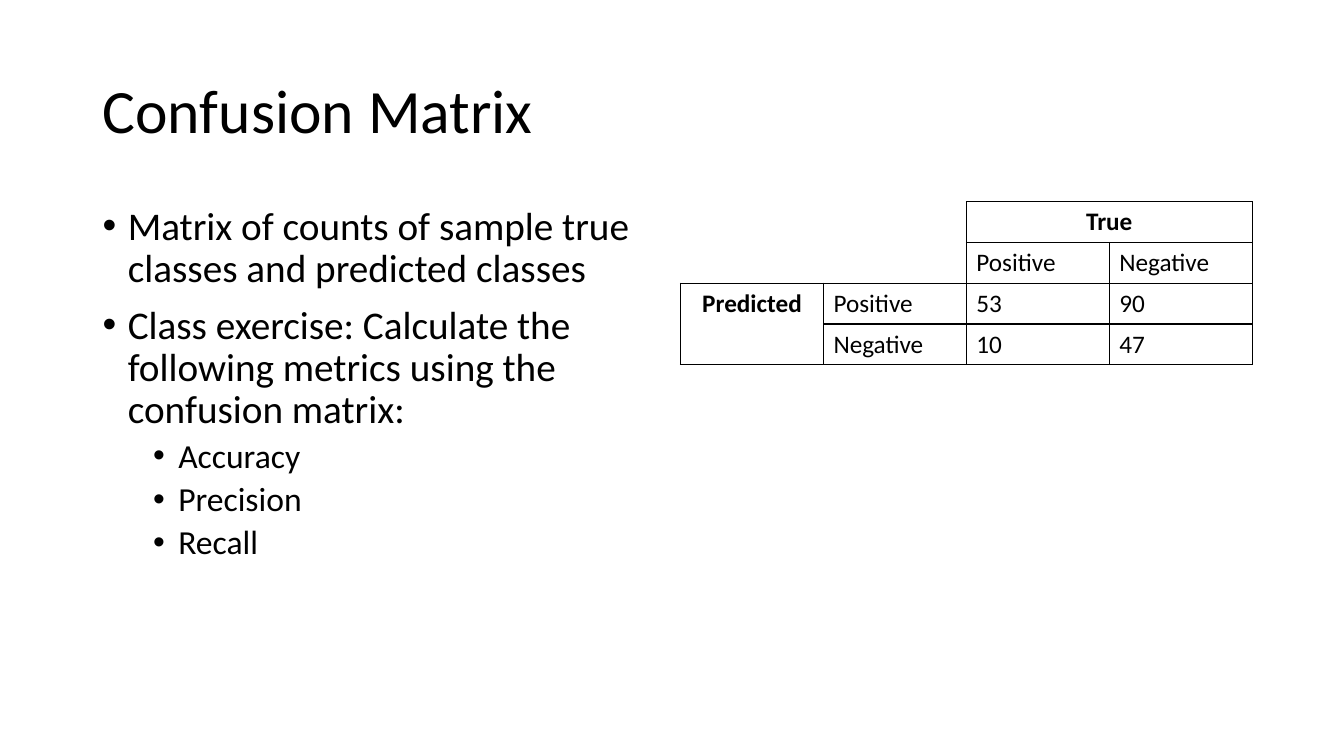
import lxml.etree
import pptx
import pptx.dml.color
import pptx.enum.text
import pptx.oxml.ns
import pptx.util

Inches = pptx.util.Inches
Points = pptx.util.Pt
qualified = pptx.oxml.ns.qn
Align = pptx.enum.text.PP_ALIGN
Anchor = pptx.enum.text.MSO_ANCHOR
BLACK = pptx.dml.color.RGBColor(0x00, 0x00, 0x00)
WHITE = pptx.dml.color.RGBColor(0xFF, 0xFF, 0xFF)
PLAIN_TABLE_STYLE = "{2D5ABB26-0587-4C30-8999-92F81FD0307C}"


def write(para, text, font="Calibri", size=18, color=BLACK, bold=False,
          align=Align.LEFT, line=None, before=0):
    """Add one formatted span of text to a paragraph."""
    span = para.add_run()
    span.text = text
    span.font.name = font
    span.font.size = Points(size)
    span.font.color.rgb = color
    span.font.bold = bold
    para.alignment = align
    para.line_spacing = line
    para.space_before = Points(before)


class Page:
    """One slide with its text and table style."""

    def __init__(self, deck):
        self.slide = deck.slides.add_slide(deck.slide_layouts[6])
        self.slide.background.fill.solid()
        self.slide.background.fill.fore_color.rgb = WHITE

    def text_box(self, left, top, width, height, anchor=Anchor.TOP):
        box = self.slide.shapes.add_textbox(
            Inches(left), Inches(top), Inches(width), Inches(height))
        box.text_frame.word_wrap = True
        box.text_frame.vertical_anchor = anchor
        return box.text_frame

    def title(self, text):
        frame = self.text_box(0.92, 0.4, 11.5, 1.45, Anchor.MIDDLE)
        write(frame.paragraphs[0], text, size=44, line=0.9)

    def bullets(self, items):
        frame = self.text_box(0.92, 2, 5.67, 4.76)
        for index, (level, text) in enumerate(items):
            para = frame.add_paragraph() if index else frame.paragraphs[0]
            para.level = level
            write(para, text, size=28 - 4 * level, line=0.9,
                  before=5 if level else 10)
            properties = para._p.get_or_add_pPr()
            properties.set("marL", str(Inches(0.25 + 0.5 * level)))
            properties.set("indent", str(Inches(-0.25)))
            font = lxml.etree.SubElement(properties, qualified("a:buFont"))
            font.set("typeface", "Arial")
            mark = lxml.etree.SubElement(properties, qualified("a:buChar"))
            mark.set("char", "•")

    def borders(self, cell, sides):
        properties = cell._tc.get_or_add_tcPr()
        for side in sides:
            line = lxml.etree.SubElement(
                properties, qualified("a:ln" + side), w=str(Points(1)))
            fill = lxml.etree.SubElement(line, qualified("a:solidFill"))
            lxml.etree.SubElement(fill, qualified("a:srgbClr"), val=str(BLACK))

    def matrix(self, rows, merges):
        count = len(rows[0])
        table = self.slide.shapes.add_table(
            len(rows), count, Inches(6.75), Inches(2),
            Inches(5.67), Inches(1.62)).table
        table.first_row = table.horz_banding = False
        style = table._tbl.tblPr.find(qualified("a:tableStyleId"))
        style.text = PLAIN_TABLE_STYLE
        for first, last in merges:
            table.cell(*first).merge(table.cell(*last))
        for row, texts in enumerate(rows):
            for column, text in enumerate(texts):
                cell = table.cell(row, column)
                # The empty corner shows only its inner edges
                if row > 1 or column > 1:
                    self.borders(cell, "LRTB")
                elif cell.is_merge_origin:
                    self.borders(cell, "RB")
                cell.fill.background()
                if text:
                    heading = cell.is_merge_origin
                    write(cell.text_frame.paragraphs[0], text, bold=heading,
                          align=Align.CENTER if heading else Align.LEFT)


def main():
    deck = pptx.Presentation()
    deck.slide_width, deck.slide_height = Inches(13.33), Inches(7.5)
    page = Page(deck)

    # Title and bullet list
    page.title("Confusion Matrix")
    page.bullets([
        (0, "Matrix of counts of sample true classes and predicted classes"),
        (0, "Class exercise: Calculate the following metrics using the "
            "confusion matrix:"),
        (1, "Accuracy"),
        (1, "Precision"),
        (1, "Recall"),
    ])

    # Confusion matrix
    page.matrix(
        [["", "", "True", ""],
         ["", "", "Positive", "Negative"],
         ["Predicted", "Positive", "53", "90"],
         ["", "Negative", "10", "47"]],
        merges=[((0, 0), (1, 1)), ((0, 2), (0, 3)), ((2, 0), (3, 0))])

    deck.save("out.pptx")


if __name__ == "__main__":
    main()
